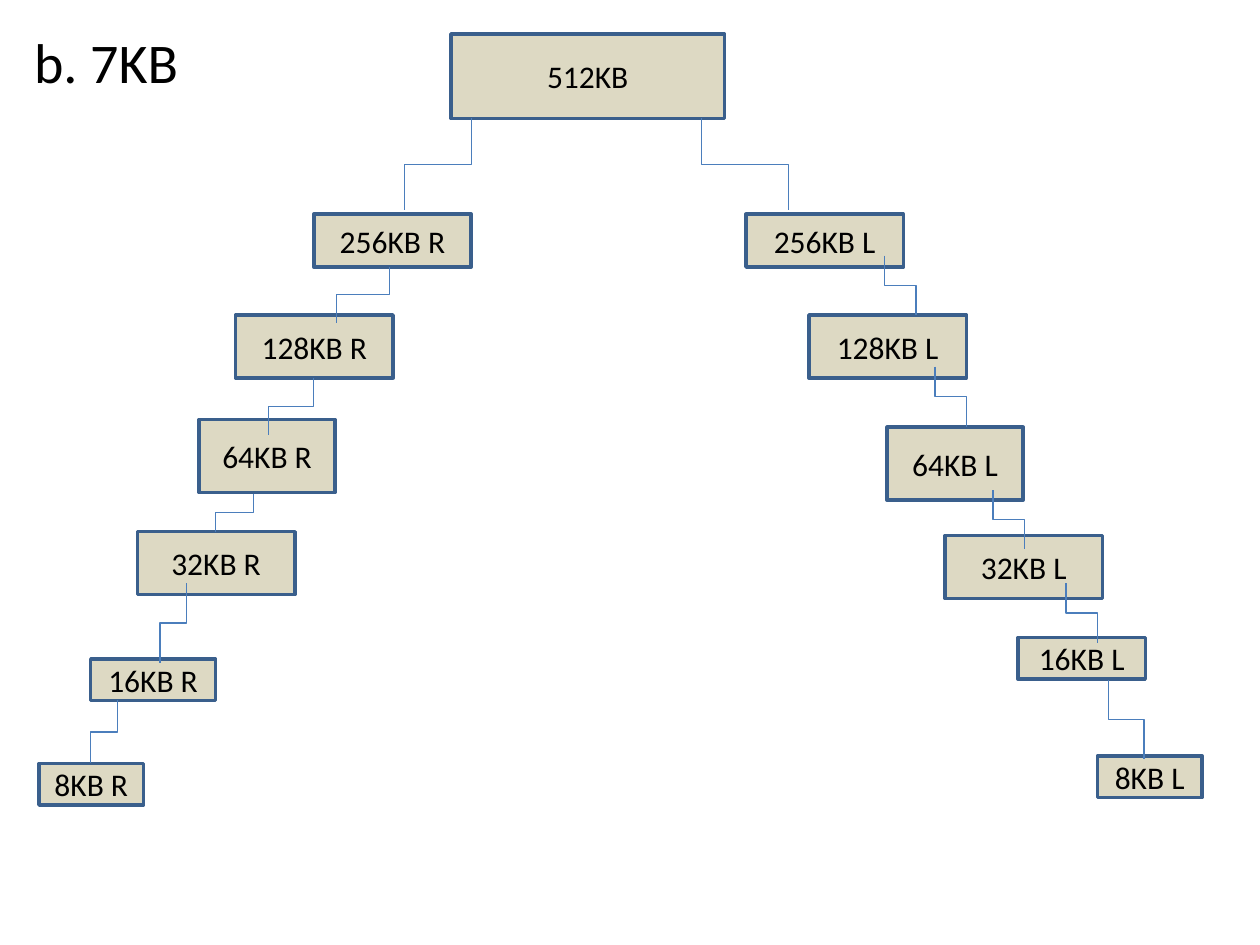
from lxml import etree
from pptx import Presentation
from pptx.dml.color import RGBColor
from pptx.enum.shapes import MSO_CONNECTOR, MSO_SHAPE
from pptx.enum.text import MSO_ANCHOR, PP_ALIGN
from pptx.oxml.ns import qn
from pptx.util import Inches, Pt

RECTANGLE = MSO_SHAPE.RECTANGLE
ELBOW = MSO_CONNECTOR.ELBOW
MIDDLE = MSO_ANCHOR.MIDDLE
CENTER = PP_ALIGN.CENTER

COLORS = {"text": "000000", "fill": "DDD9C3", "border": "3A5F8C", "link": "4B7EBC"}

# Label, left, top, width, height
BLOCKS = [
    ("512KB", 3.58, 0.27, 2.17, 0.67),
    ("256KB R", 2.49, 1.7, 1.25, 0.42),
    ("128KB R", 1.87, 2.5, 1.25, 0.5),
    ("64KB R", 1.58, 3.33, 1.08, 0.58),
    ("32KB R", 1.09, 4.22, 1.25, 0.5),
    ("16KB R", 0.72, 5.23, 0.99, 0.33),
    ("8KB R", 0.31, 6.06, 0.83, 0.33),
    ("256KB L", 5.92, 1.7, 1.25, 0.42),
    ("128KB L", 6.42, 2.5, 1.25, 0.5),
    ("64KB L", 7.04, 3.39, 1.08, 0.58),
    ("32KB L", 7.5, 4.25, 1.25, 0.5),
    ("16KB L", 8.08, 5.06, 1.01, 0.33),
    ("8KB L", 8.71, 6, 0.83, 0.33),
]

# Start x, start y, end x, end y
LINKS = [
    (3.74, 0.94, 3.21, 1.67),
    (3.09, 2.12, 2.67, 2.56),
    (2.49, 3, 2.13, 3.45),
    (2.01, 3.92, 1.71, 4.22),
    (1.48, 4.63, 1.27, 5.26),
    (0.93, 5.56, 0.72, 6.06),
    (5.57, 0.94, 6.26, 1.67),
    (7.02, 2.03, 7.27, 2.5),
    (7.42, 2.91, 7.67, 3.39),
    (7.88, 3.89, 8.13, 4.36),
    (8.46, 4.63, 8.71, 5.1),
    (8.8, 5.4, 9.08, 6.02),
]


def color(name):
    return RGBColor.from_string(COLORS[name])


def write_text(frame, text, size=18, align=None, anchor=None):
    frame.word_wrap = True
    if anchor is not None:
        frame.vertical_anchor = anchor
    para = frame.paragraphs[0]
    if align is not None:
        para.alignment = align
    span = para.add_run()
    span.text = text
    span.font.name = "Calibri"
    span.font.size = Pt(size)
    span.font.color.rgb = color("text")
    return para


def add_heading(page, text):
    """Write the heading in the body placeholder, without a bullet."""
    body = page.placeholders[1]
    body.left, body.top = Inches(0.17), Inches(0.17)
    body.width, body.height = Inches(9.58), Inches(7.17)
    para = write_text(body.text_frame, text, size=32)
    properties = para._p.get_or_add_pPr()
    properties.set("marL", "0")
    properties.set("indent", "0")
    etree.SubElement(properties, qn("a:buNone"))


def add_block(page, label, left, top, width, height):
    box = page.shapes.add_shape(
        RECTANGLE, Inches(left), Inches(top), Inches(width), Inches(height)
    )
    box.shadow.inherit = False
    box.fill.solid()
    box.fill.fore_color.rgb = color("fill")
    box.line.color.rgb = color("border")
    box.line.width = Pt(2)
    write_text(box.text_frame, label, align=CENTER, anchor=MIDDLE)


def add_link(page, start_x, start_y, end_x, end_y):
    """Draw an elbow that leaves its start downwards, by a quarter turn."""
    middle_x, middle_y = (start_x + end_x) / 2, (start_y + end_y) / 2
    half_width, half_height = (end_y - start_y) / 2, abs(end_x - start_x) / 2
    goes_right = end_x > start_x
    if goes_right:
        half_width = -half_width
    link = page.shapes.add_connector(
        ELBOW,
        Inches(middle_x - half_width), Inches(middle_y - half_height),
        Inches(middle_x + half_width), Inches(middle_y + half_height),
    )
    link.line.color.rgb = color("link")
    link.line.width = Pt(0.75)
    properties = link.element.spPr
    degrees = 270 if goes_right else 90
    properties.find(qn("a:xfrm")).set("rot", str(degrees * 60000))
    etree.SubElement(properties, qn("a:effectLst"))


def main():
    deck = Presentation()
    deck.slide_width, deck.slide_height = Inches(10), Inches(7.5)
    page = deck.slides.add_slide(deck.slide_layouts[1])
    title = page.shapes.title.element
    title.getparent().remove(title)

    add_heading(page, "b. 7KB")
    for block in BLOCKS:
        add_block(page, *block)
    for link in LINKS:
        add_link(page, *link)
    deck.save("out.pptx")


if __name__ == "__main__":
    main()
